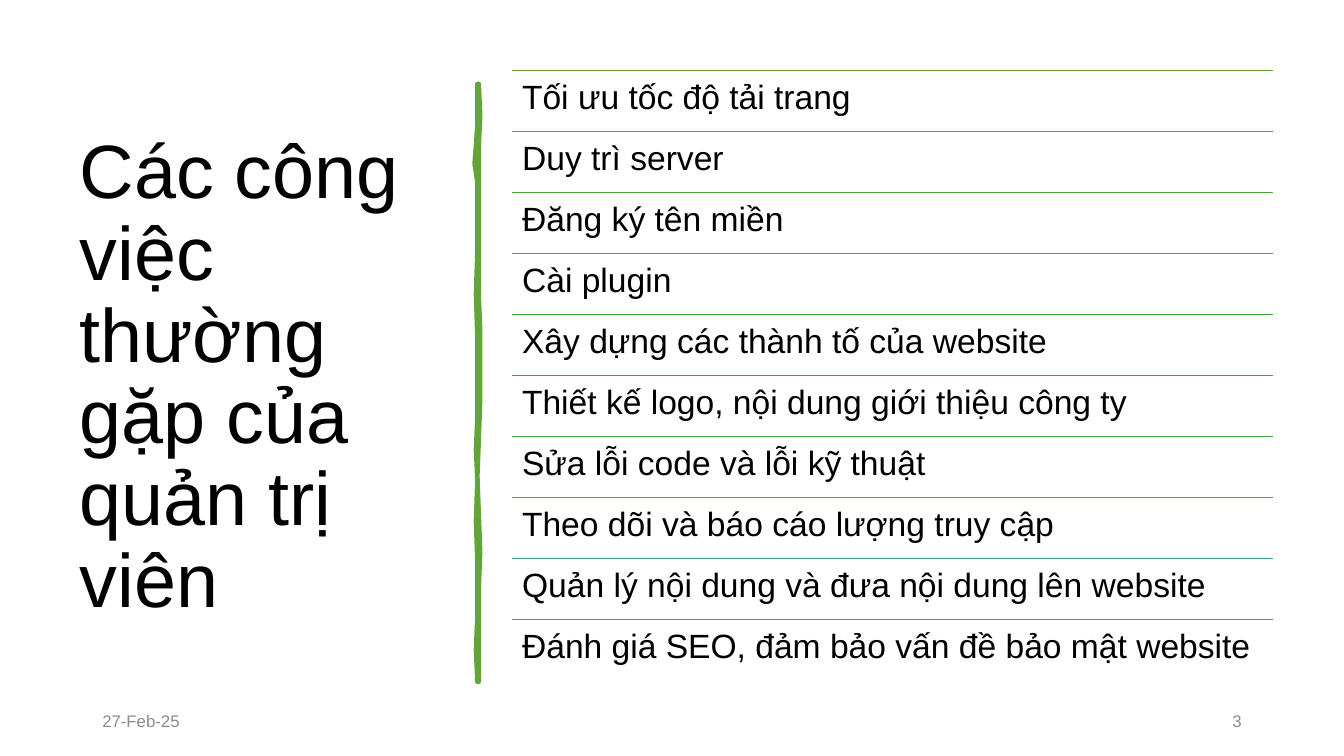
from lxml import etree
from pptx import Presentation
from pptx.dml.color import RGBColor
from pptx.enum import shapes, text
from pptx.oxml import ns
from pptx.util import Pt

BLACK = RGBColor(0x00, 0x00, 0x00)
GRAY = RGBColor(0x8C, 0x8C, 0x8C)
GREEN = RGBColor(0x63, 0xA5, 0x37)

TASKS = [
    ("Tối ưu tốc độ tải trang", GREEN),
    ("Duy trì server", RGBColor(0x58, 0xA5, 0x37)),
    ("Đăng ký tên miền", RGBColor(0x4D, 0xA5, 0x37)),
    ("Cài plugin", RGBColor(0x42, 0xA6, 0x37)),
    ("Xây dựng các thành tố của website", RGBColor(0x37, 0xA6, 0x37)),
    ("Thiết kế logo, nội dung giới thiệu công ty", RGBColor(0x37, 0xA6, 0x42)),
    ("Sửa lỗi code và lỗi kỹ thuật", RGBColor(0x37, 0xA6, 0x4D)),
    ("Theo dõi và báo cáo lượng truy cập", RGBColor(0x37, 0xA7, 0x58)),
    ("Quản lý nội dung và đưa nội dung lên website", RGBColor(0x37, 0xA7, 0x64)),
    ("Đánh giá SEO, đảm bảo vấn đề bảo mật website", RGBColor(0x37, 0xA7, 0x6F)),
]

presentation = Presentation()
presentation.slide_width = Pt(960)
presentation.slide_height = Pt(540)
slide = presentation.slides.add_slide(presentation.slide_layouts[6])


def add_text(content, left, top, width, height, size, color, frame_format, paragraph_format):
    shape = slide.shapes.add_textbox(Pt(left), Pt(top), Pt(width), Pt(height))
    frame = shape.text_frame
    for name, value in {"word_wrap": True, **frame_format}.items():
        setattr(frame, name, value)
    paragraph = frame.paragraphs[0]
    paragraph.text = content
    for name, value in paragraph_format.items():
        setattr(paragraph, name, value)
    font = paragraph.runs[0].font
    for name, value in {"name": "Arial", "size": Pt(size)}.items():
        setattr(font, name, value)
    font.color.rgb = color


middle = {"vertical_anchor": text.MSO_ANCHOR.MIDDLE}
add_text("Các công việc thường gặp của quản trị viên", 49.7, 50.4, 269.3, 440,
         54, BLACK, middle, {"line_spacing": 0.9})

right_edge = [(342, 60.5), (343, 82), (342, 105), (341.5, 133), (342, 163),
              (341.8, 188), (342, 212), (342.6, 235), (342.6, 285), (342, 314),
              (341, 340), (342, 367), (343, 394), (342, 420), (341.7, 453), (342, 486.7)]
left_edge = [(340.6, 486.7), (340, 464), (340.6, 441), (341, 401), (340, 372),
             (340.6, 343), (340, 321), (340.6, 299), (341, 270), (340.6, 241),
             (340, 210), (340.6, 180), (341, 155), (340.6, 130), (339.4, 117),
             (341, 90), (340.6, 60.5)]
builder = slide.shapes.build_freeform(*right_edge[0], scale=Pt(1))
builder.add_line_segments(right_edge[1:] + left_edge, close=True)
brush_stroke = builder.convert_to_shape()
brush_stroke.shadow.inherit = False
brush_stroke.fill.solid()
brush_stroke.fill.fore_color.rgb = GREEN
brush_stroke.line.color.rgb = GREEN
brush_stroke.line.width = Pt(3.25)
line_properties = brush_stroke.line._get_or_add_ln()
etree.SubElement(line_properties, ns.qn("a:round"))

for content, left, align in (("27-Feb-25", 66, text.PP_ALIGN.LEFT),
                             ("3", 678, text.PP_ALIGN.RIGHT)):
    add_text(content, left, 500.5, 216, 28.75, 12, GRAY, middle,
             {"alignment": align, "space_after": Pt(6)})

list_left, list_top, list_width, row_height = 365.8, 50.4, 543.6, 43.58
side_names = ("margin_left", "margin_top", "margin_right", "margin_bottom")
row_margins = {name: Pt(7.2) for name in side_names}
for index, (task, color) in enumerate(TASKS):
    top = list_top + index * row_height
    rule = slide.shapes.add_connector(shapes.MSO_CONNECTOR.STRAIGHT, Pt(list_left), Pt(top),
                                      Pt(list_left + list_width), Pt(top))
    rule.line.color.rgb = color
    rule.line.width = Pt(1)
    etree.SubElement(rule._element.spPr, ns.qn("a:effectLst"))
    add_text(task, list_left, top, list_width, row_height, 24, BLACK, row_margins,
             {"line_spacing": 0.9, "space_after": Pt(8.4)})

presentation.save("out.pptx")
